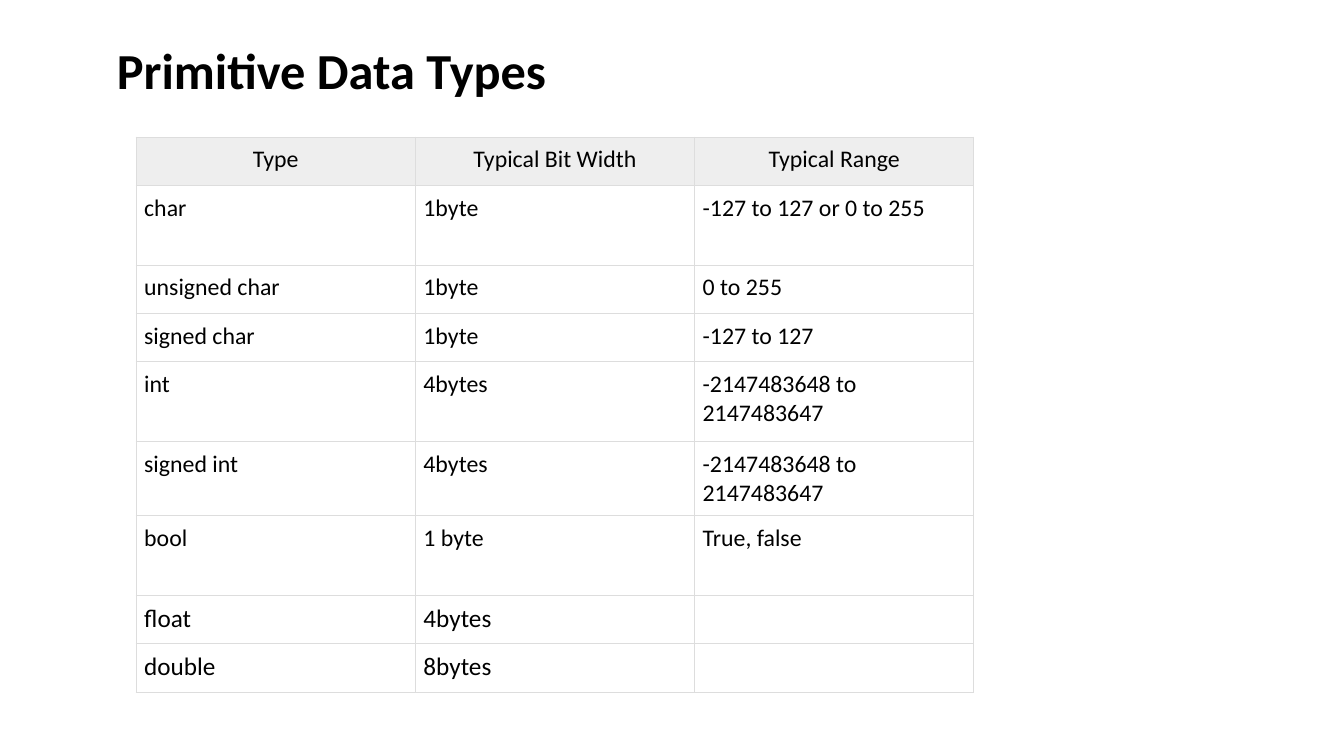
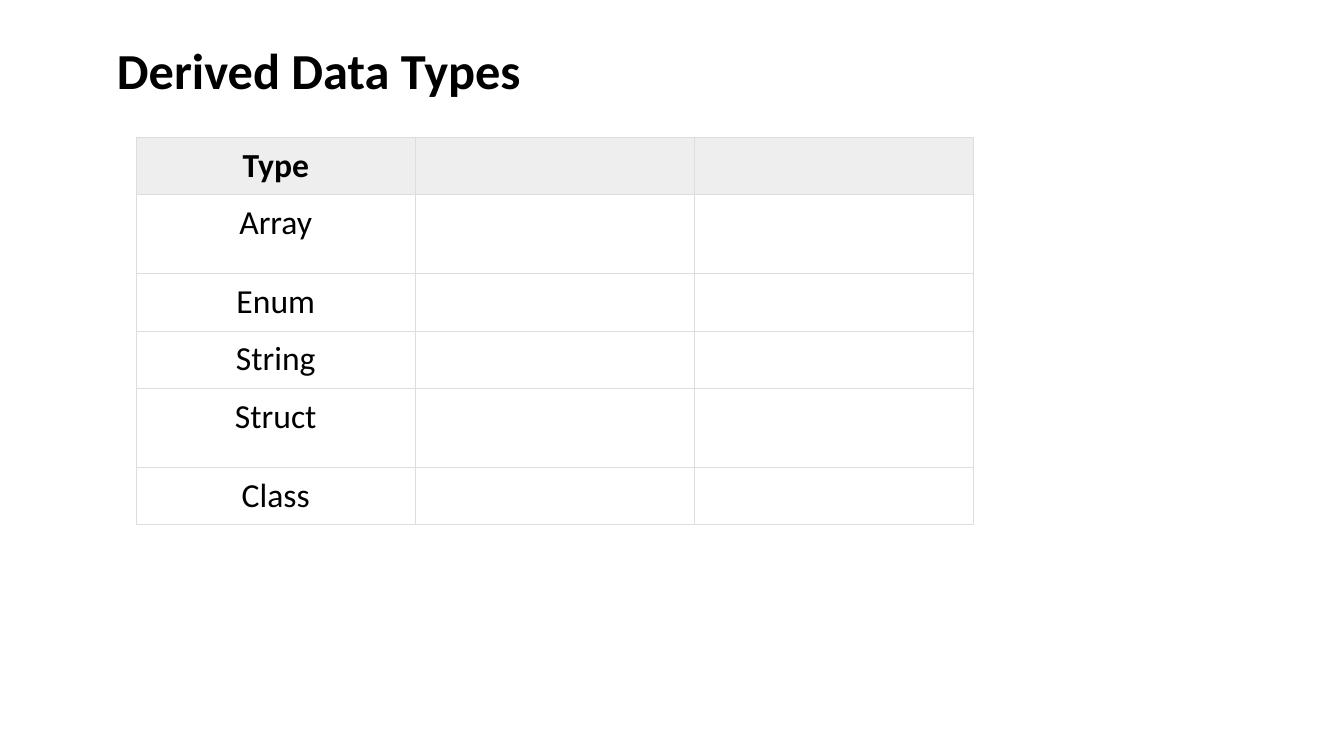
from dataclasses import dataclass

from lxml import etree
from pptx import Presentation
from pptx.dml.color import RGBColor
from pptx.enum.text import MSO_ANCHOR, PP_ALIGN
from pptx.oxml.ns import qn
from pptx.util import Inches, Pt

LEFT, CENTER = PP_ALIGN.LEFT, PP_ALIGN.CENTER
MIDDLE = MSO_ANCHOR.MIDDLE
TITLE_ONLY = 5


@dataclass(frozen=True)
class Theme:
    font: str = "Calibri"
    ink: RGBColor = RGBColor(0x00, 0x00, 0x00)
    header_fill: RGBColor = RGBColor(0xEE, 0xEE, 0xEE)
    grid: str = "DDDDDD"
    grid_width: int = Pt(0.75)
    title_size: int = Pt(36)
    small: int = Pt(17)
    medium: int = Pt(18)
    large: int = Pt(24)


THEME = Theme()
SHORT_ROW, TALL_ROW = Inches(0.48), Inches(0.79)
COLUMN_WIDTH = Inches(2.77)
CELL_MARGIN = Inches(0.08)


def style_text(paragraph, size, bold, align):
    paragraph.alignment = align
    for run in paragraph.runs:
        run.font.name = THEME.font
        run.font.size = size
        run.font.bold = bold
        run.font.color.rgb = THEME.ink


def add_borders(cell):
    properties = cell._tc.get_or_add_tcPr()
    for side in ("a:lnL", "a:lnR", "a:lnT", "a:lnB"):
        line = etree.SubElement(properties, qn(side), w=str(THEME.grid_width))
        fill = etree.SubElement(line, qn("a:solidFill"))
        etree.SubElement(fill, qn("a:srgbClr"), val=THEME.grid)


# Content: each row is its cell texts and its text size
primitive_rows = [
    (("Type", "Typical Bit Width", "Typical Range"), THEME.small),
    (("char", "1byte", "-127 to 127 or 0 to 255"), THEME.small),
    (("unsigned char", "1byte", "0 to 255"), THEME.small),
    (("signed char", "1byte", "-127 to 127"), THEME.small),
    (("int", "4bytes", "-2147483648 to 2147483647"), THEME.small),
    (("signed int", "4bytes", "-2147483648 to 2147483647"), THEME.small),
    (("bool", "1 byte", "True, false"), THEME.small),
    (("float", "4bytes", ""), THEME.medium),
    (("double", "8bytes", ""), THEME.medium),
]
derived_rows = [
    ((name, "", ""), THEME.large)
    for name in ("Type", "Array", "Enum", "String", "Struct", "Class")
]

# Title, rows, tall row numbers, bold header, body alignment
pages = [
    ("Primitive Data Types", primitive_rows, (1, 4, 6), False, LEFT),
    ("Derived Data Types", derived_rows, (1, 4), True, CENTER),
]

prs = Presentation()
prs.slide_width, prs.slide_height = Inches(13.33), Inches(7.5)

for heading, rows, tall_rows, bold_header, body_align in pages:
    slide = prs.slides.add_slide(prs.slide_layouts[TITLE_ONLY])

    # Title
    title = slide.shapes.title
    title.left, title.top = Inches(1.06), Inches(0)
    title.width, title.height = Inches(11.5), Inches(1.45)
    title.text_frame.text = heading
    title.text_frame.vertical_anchor = MIDDLE
    title_line = title.text_frame.paragraphs[0]
    title_line.line_spacing = 0.9
    style_text(title_line, THEME.title_size, True, LEFT)

    # Table grid
    heights = [TALL_ROW if r in tall_rows else SHORT_ROW for r in range(len(rows))]
    column_count = len(rows[0][0])
    types_table = slide.shapes.add_table(
        len(rows), column_count, Inches(1.35), Inches(1.36),
        COLUMN_WIDTH * column_count, sum(heights),
    ).table
    types_table.horz_banding = False
    for column in types_table.columns:
        column.width = COLUMN_WIDTH

    # Table cells
    for r, (texts, size) in enumerate(rows):
        types_table.rows[r].height = heights[r]
        is_header = r == 0
        for c, text in enumerate(texts):
            cell = types_table.cell(r, c)
            cell.margin_left = cell.margin_right = CELL_MARGIN
            cell.margin_top = cell.margin_bottom = CELL_MARGIN
            add_borders(cell)
            if is_header:
                cell.fill.solid()
                cell.fill.fore_color.rgb = THEME.header_fill
            else:
                cell.fill.background()
            if text:
                cell.text_frame.text = text
                style_text(cell.text_frame.paragraphs[0], size,
                           is_header and bold_header,
                           CENTER if is_header else body_align)

prs.save("out.pptx")
